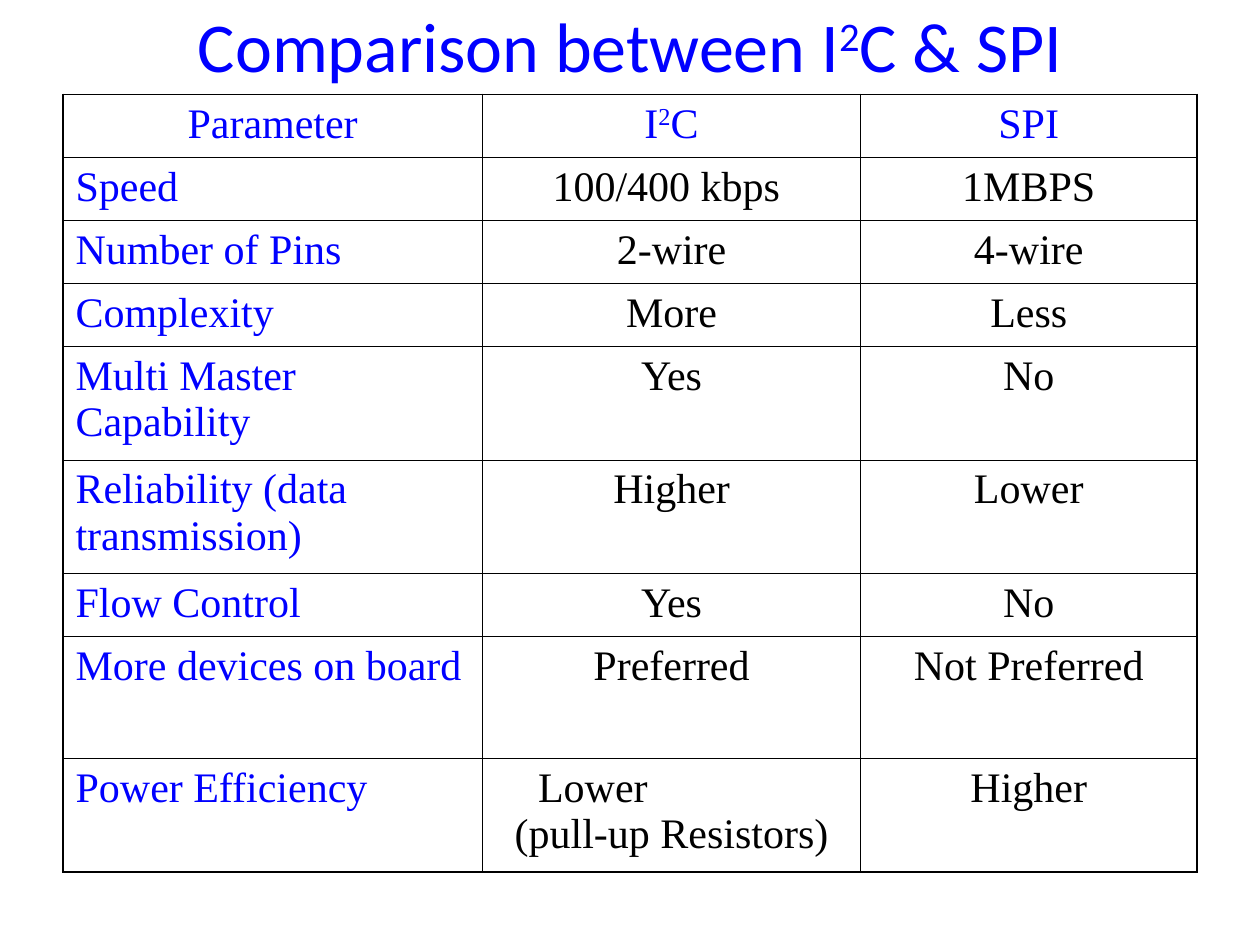
"""Build a one-slide table comparing the I²C and SPI buses."""
import lxml.etree
import pptx
import pptx.dml.color
import pptx.enum.text
import pptx.oxml.ns
import pptx.util

Inches = pptx.util.Inches
ALIGN = pptx.enum.text.PP_ALIGN
COLORS = {"accent": "0000FF", "body": "000000", "border": "000000"}
TITLE = "Comparison between I^2^C & SPI"
ROWS = [
    ("Parameter", "I^2^C", "SPI"),
    ("Speed", "100/400 kbps ", "1MBPS"),
    ("Number of Pins", "2-wire", "4-wire"),
    ("Complexity", "More", "Less"),
    ("Multi Master Capability", "Yes", "No"),
    ("Reliability (data transmission)", "Higher", "Lower"),
    ("Flow Control", "Yes", "No"),
    ("More devices on board", "Preferred", "Not Preferred"),
    ("Power Efficiency", "Lower\n(pull-up Resistors)", "Higher"),
]
COLUMN_WIDTHS = [3.33, 3, 2.67]
ROW_HEIGHTS = [0.5, 0.5, 0.5, 0.5, 0.9, 0.9, 0.5, 0.97, 0.9]
OUTER_BORDER, INNER_BORDER = 1.08, 0.45
FIRST_LINE_INDENT = 0.34


def write_text(text_frame, text, *, size, font, color, align, space_before=0):
    """Write lines of text, raising the parts between carets."""
    for number, line in enumerate(text.split("\n")):
        paragraph = text_frame.add_paragraph() if number else text_frame.paragraphs[0]
        paragraph.alignment = align
        paragraph.space_before = pptx.util.Pt(0 if number else space_before)
        for index, part in enumerate(line.split("^")):
            run = paragraph.add_run()
            run.text = part
            run.font.size = pptx.util.Pt(size)
            run.font.name = font
            run.font.color.rgb = pptx.dml.color.RGBColor.from_string(COLORS[color])
            if index % 2:
                run.font._element.set("baseline", "30000")


def set_border(cell, side, width):
    """Draw one solid border of a cell."""
    properties = cell._tc.get_or_add_tcPr()
    qn = pptx.oxml.ns.qn
    line = lxml.etree.SubElement(properties, qn(f"a:ln{side}"), w=str(pptx.util.Pt(width)))
    fill = lxml.etree.SubElement(line, qn("a:solidFill"))
    lxml.etree.SubElement(fill, qn("a:srgbClr"), val=COLORS["border"])


def add_title(slide):
    """Add the centred heading."""
    shape = slide.shapes.add_textbox(Inches(0.5), Inches(0), Inches(9), Inches(0.7))
    shape.text_frame.word_wrap = True
    shape.text_frame.vertical_anchor = pptx.enum.text.MSO_ANCHOR.MIDDLE
    write_text(shape.text_frame, TITLE, size=40, font="Calibri", color="accent", align=ALIGN.CENTER)


def add_comparison_table(slide):
    """Add the comparison table with a heavier outer border."""
    last_row, last_column = len(ROWS) - 1, len(COLUMN_WIDTHS) - 1
    table = slide.shapes.add_table(
        len(ROWS), len(COLUMN_WIDTHS), Inches(0.5), Inches(0.75),
        Inches(sum(COLUMN_WIDTHS)), Inches(sum(ROW_HEIGHTS)),
    ).table
    table.first_row = table.horz_banding = False
    for column, width in zip(table.columns, COLUMN_WIDTHS):
        column.width = Inches(width)
    for row, height in zip(table.rows, ROW_HEIGHTS):
        row.height = Inches(height)
    for row_index, texts in enumerate(ROWS):
        for column_index, text in enumerate(texts):
            cell = table.cell(row_index, column_index)
            is_header, is_label = row_index == 0, column_index == 0
            outer_sides = {
                "L": is_label, "R": column_index == last_column,
                "T": is_header, "B": row_index == last_row,
            }
            for side, is_outer in outer_sides.items():
                set_border(cell, side, OUTER_BORDER if is_outer else INNER_BORDER)
            cell.fill.background()
            write_text(
                cell.text_frame, text, size=24, font="Times New Roman", space_before=6,
                color="accent" if is_header or is_label else "body",
                align=ALIGN.LEFT if is_label and not is_header else ALIGN.CENTER,
            )
    lower = table.cell(last_row, 1).text_frame.paragraphs[0]
    lower.alignment = ALIGN.LEFT
    lower._p.get_or_add_pPr().set("marL", str(Inches(FIRST_LINE_INDENT)))


def main():
    """Create and save the presentation."""
    presentation = pptx.Presentation()
    presentation.slide_width, presentation.slide_height = Inches(10), Inches(7.5)
    slide = presentation.slides.add_slide(presentation.slide_layouts[6])
    add_title(slide)
    add_comparison_table(slide)
    presentation.save("out.pptx")


if __name__ == "__main__":
    main()
